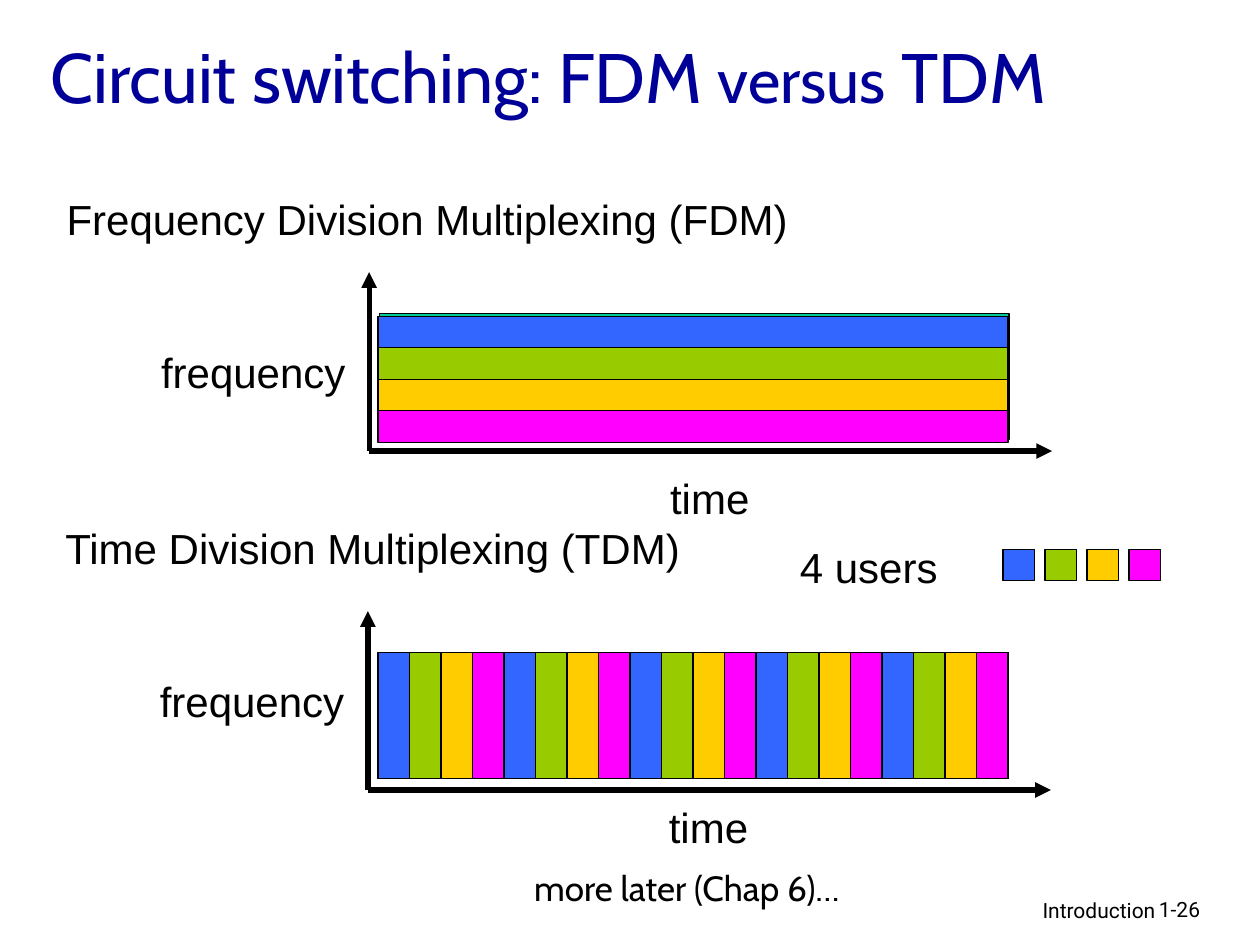
"""Build the slide that compares frequency and time division multiplexing."""
from lxml import etree
from pptx import Presentation
from pptx import util as u
from pptx.dml.color import RGBColor
from pptx.enum import shapes, text
from pptx.oxml.ns import qn

USERS = ["3366FF", "99CC00", "FFCC00", "FF00FF"]
BACKING = "00CC99"
BLACK = "000000"
LEFT, WIDTH, HEIGHT, STEP = 3, 5, 1, 0.25
FDM_TOP, TDM_TOP = 2.51, 5.18
SLOTS = int(WIDTH / STEP)

deck = Presentation()
deck.slide_width, deck.slide_height = u.Inches(10), u.Inches(7.5)
page = deck.slides.add_slide(deck.slide_layouts[6])


def write(spans, place, font="Arial", size=24, color=BLACK, wrap=False,
          align=text.PP_ALIGN.LEFT, anchor=text.MSO_ANCHOR.TOP):
    """Add a text box; spans is a string or a list of (string, size)."""
    box = page.shapes.add_textbox(*map(u.Inches, place))
    frame = box.text_frame
    frame.word_wrap = wrap
    frame.auto_size = text.MSO_AUTO_SIZE.NONE if wrap else text.MSO_AUTO_SIZE.SHAPE_TO_FIT_TEXT
    frame.vertical_anchor = anchor
    para = frame.paragraphs[0]
    para.alignment = align
    for words, points in [(spans, size)] if isinstance(spans, str) else spans:
        span = para.add_run()
        span.text = words
        span.font.name = font
        span.font.size = u.Pt(points)
        span.font.color.rgb = RGBColor.from_string(color)


def draw_line(start, end, weight=0.75, arrow=False):
    """Add a straight black line, with an arrowhead at its end if asked."""
    line = page.shapes.add_connector(
        shapes.MSO_CONNECTOR.STRAIGHT, *map(u.Inches, (*start, *end)))
    line.line.color.rgb = RGBColor.from_string(BLACK)
    line.line.width = u.Pt(weight)
    if arrow:
        etree.SubElement(line.line._get_or_add_ln(), qn("a:tailEnd"), type="triangle")
    etree.SubElement(line._element.spPr, qn("a:effectLst"))


write([("Circuit switching: FDM ", 40), ("versus", 36), (" TDM", 40)],
      (0.3, 0.08, 9.26, 1.04), font="Cabin", color="000099", wrap=True,
      anchor=text.MSO_ANCHOR.MIDDLE)

charts = [("Frequency Division Multiplexing (FDM)", 0.43, 1.49, 5.99),
          ("Time Division Multiplexing (TDM)", 0.42, 4.1, 5.13)]
for heading, left, top, width in charts:
    write(heading, (left, top, width, 0.51))
    write("frequency", (left + 0.75, top + 1.21, 1.67, 0.5))
    write("time", (left + 4.79, top + 2.21, 0.83, 0.5))
    origin = (left + 2.5, top + 2.13 + (0.04 if top > 4 else -0.04))
    draw_line(origin, (origin[0], origin[1] - 1.42), weight=3, arrow=True)
    draw_line(origin, (origin[0] + 5.42, origin[1]), weight=3, arrow=True)

blocks = [(BACKING, 3.01, 2.49, WIDTH, HEIGHT)]
blocks += [(color, LEFT, FDM_TOP + i * STEP, WIDTH, STEP) for i, color in enumerate(USERS)]
blocks += [(BACKING, LEFT, TDM_TOP, WIDTH, HEIGHT)]
blocks += [(USERS[i % len(USERS)], LEFT + i * STEP, TDM_TOP, STEP, HEIGHT)
           for i in range(SLOTS)]
blocks += [(color, 7.96 + i / 3, 4.36, STEP, STEP) for i, color in enumerate(USERS)]
for color, *place in blocks:
    block = page.shapes.add_shape(shapes.MSO_SHAPE.RECTANGLE, *map(u.Inches, place))
    block.shadow.inherit = False
    block.fill.solid()
    block.fill.fore_color.rgb = RGBColor.from_string(color)
    block.line.color.rgb = RGBColor.from_string(BLACK)
    block.line.width = u.Pt(0.75)

for i in range(1, len(USERS)):
    y = FDM_TOP + i * STEP
    draw_line((LEFT, y), (LEFT + WIDTH, y))
for i in range(1, SLOTS):
    x = LEFT + i * STEP
    draw_line((x, TDM_TOP), (x, TDM_TOP + HEIGHT))

write("4 users", (6.25, 4.25, 1.3, 0.5))
write("more later (Chap 6)…", (4.14, 6.83, 2.76, 0.44), font="Cabin", size=20)
write("Introduction", (6.1, 7.07, 3.17, 0.31), font="Roboto", size=12, wrap=True,
      align=text.PP_ALIGN.RIGHT)
write("1-26", (9.1, 7.07, 0.74, 0.3), font="Roboto", size=12, wrap=True)

deck.save("out.pptx")
